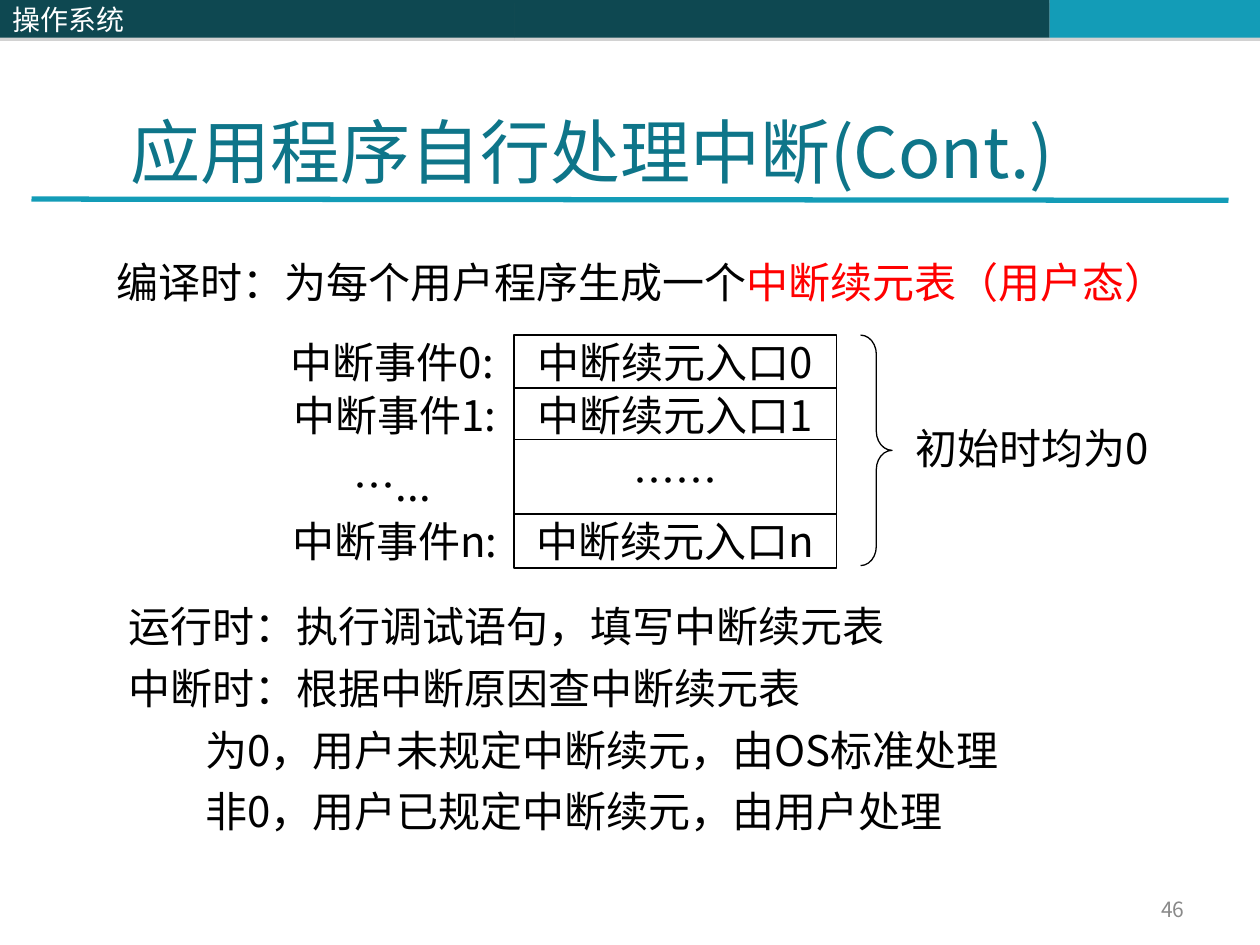
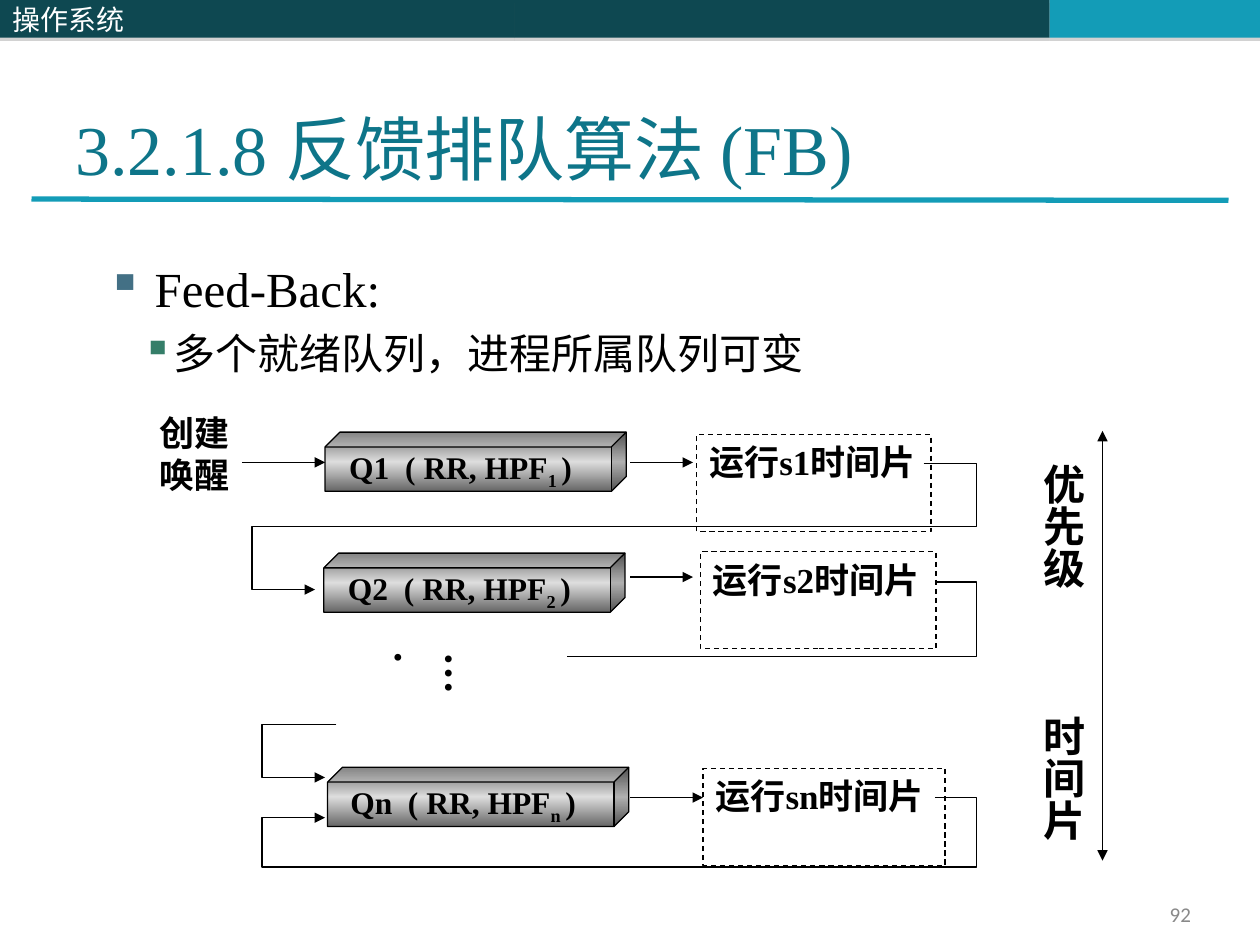
from dataclasses import dataclass
from typing import NamedTuple

import lxml.etree
import pptx
import pptx.dml.color
import pptx.enum.dml
import pptx.enum.shapes
import pptx.enum.text
import pptx.oxml.ns
import pptx.util

Inches = pptx.util.Inches
Pt = pptx.util.Pt
SHAPES = pptx.enum.shapes.MSO_SHAPE
ANCHOR = pptx.enum.text.MSO_ANCHOR
ALIGN = pptx.enum.text.PP_ALIGN
qn = pptx.oxml.ns.qn


@dataclass(frozen=True)
class Theme:
    """Colours, fonts and type sizes of the deck."""
    dark: str = "0E4851"
    accent: str = "139CB7"
    title: str = "0E7589"
    ink: str = "000000"
    paper: str = "FFFFFF"
    muted: str = "898989"
    alert: str = "FF0000"
    shade: str = "808080"
    metal_edge: str = "666666"
    metal_shine: str = "DDDDDD"
    bullets: tuple = ("437085", "357E69")
    sans: str = "Noto Sans CJK SC"
    serif: str = "Times New Roman"
    number_font: str = "Calibri"
    title_size: int = 40
    lead_size: int = 28
    body_size: int = 24
    label_size: int = 20
    queue_size: int = 18
    band_size: int = 16
    number_size: int = 12
    rule: float = 3
    hairline: float = 0.75


THEME = Theme()


class Box(NamedTuple):
    """A rectangle in inches."""
    left: float
    top: float
    width: float
    height: float

    def inner(self, left, top, width, height):
        """Return a box placed relative to this one."""
        return Box(self.left + left, self.top + top, width, height)

    def point(self, x, y):
        """Return a point relative to this box as lengths."""
        return Inches(self.left + x), Inches(self.top + y)

    def lengths(self):
        """Return the four sides as lengths."""
        return [Inches(value) for value in self]


def rgb(colour):
    """Turn a hex string into a colour."""
    return pptx.dml.color.RGBColor.from_string(colour)


def child(parent, tag, **attributes):
    """Append a DrawingML element."""
    return lxml.etree.SubElement(parent, qn("a:" + tag), attributes)


def set_font(para, size, colour, face, bold=False):
    """Set the font of a whole paragraph, East Asian face included."""
    font = para.font
    font.size, font.bold, font.name = Pt(size), bold, face
    font.color.rgb = rgb(colour)
    properties = para._p.get_or_add_pPr().find(qn("a:defRPr"))
    east_asian = lxml.etree.Element(qn("a:ea"), typeface=THEME.sans)
    properties.find(qn("a:latin")).addnext(east_asian)


def write(shape, text, size, colour=THEME.ink, face=THEME.sans, bold=False,
          align=ALIGN.LEFT, anchor=ANCHOR.TOP, wrap=True):
    """Fill a shape with one paragraph and return it."""
    frame = shape.text_frame
    frame.word_wrap, frame.vertical_anchor = wrap, anchor
    para = frame.paragraphs[0]
    para.add_run().text = text
    para.alignment = align
    set_font(para, size, colour, face, bold)
    return para


def add_text(page, box, text, size, **style):
    """Add a text box with one paragraph."""
    shape = page.shapes.add_textbox(*box.lengths())
    write(shape, text, size, **style)
    return shape


def add_shape(page, box, kind=SHAPES.RECTANGLE, fill=None, outline=None):
    """Add a flat preset shape."""
    shape = page.shapes.add_shape(kind, *box.lengths())
    shape.shadow.inherit = False
    if fill:
        shape.fill.solid()
        shape.fill.fore_color.rgb = rgb(fill)
    else:
        shape.fill.background()
    if outline:
        set_line(shape.line, outline)
    else:
        shape.line.fill.background()
    return shape


def set_line(line, colour=THEME.ink, width=THEME.hairline, ends=()):
    """Colour a line and put triangles on the named ends."""
    line.color.rgb, line.width = rgb(colour), Pt(width)
    for end in ends:
        child(line._get_or_add_ln(), end, type="triangle")


def add_line(page, start, end, **style):
    """Add a straight connector."""
    line = page.shapes.add_connector(
        pptx.enum.shapes.MSO_CONNECTOR.STRAIGHT, *start, *end)
    child(line._element.spPr, "effectLst")
    set_line(line.line, **style)


def add_path(page, points, ends=("tailEnd",)):
    """Add an open line through the points."""
    builder = page.shapes.build_freeform(*points[0], scale=1.0)
    builder.add_line_segments(points[1:], close=False)
    outline = builder.convert_to_shape()
    outline.shadow.inherit = False
    outline.fill.background()
    set_line(outline.line, ends=ends)


def add_band(page, box, fill):
    """Add one piece of the top band with its soft shadow."""
    band = add_shape(page, box, fill=fill)
    effects = band._element.spPr.find(qn("a:effectLst"))
    shadow = child(effects, "outerShdw", blurRad="0", dist=str(Pt(1.8)),
                   dir="5400000", rotWithShape="0")
    child(child(shadow, "srgbClr", val=THEME.shade), "alpha", val="35000")
    return band


def draw_frame(page, box):
    """Draw the band and the title rule that every slide shares."""
    add_band(page, box.inner(4.08, 0, 4.25, 0.3), THEME.dark)
    add_band(page, box.inner(8.33, 0, 1.67, 0.3), THEME.accent)
    add_line(page, box.point(0.25, 1.58), box.point(9.75, 1.59),
             colour=THEME.accent, width=THEME.rule)
    course = add_band(page, box.inner(0, 0, 4.08, 0.3), THEME.dark)
    write(course, "操作系统", THEME.band_size, THEME.paper, anchor=ANCHOR.MIDDLE)


def draw_title(page, box, text, face):
    """Write the slide title on the rule."""
    add_text(page, box, text, THEME.title_size, colour=THEME.title,
             face=face, anchor=ANCHOR.BOTTOM)


def draw_number(page, box, number, face):
    """Write the slide number at the right of its box."""
    add_text(page, box, number, THEME.number_size, colour=THEME.muted,
             face=face, align=ALIGN.RIGHT, anchor=ANCHOR.MIDDLE)


def draw_entry_table(page, box):
    """Draw the interrupt table with row labels and the brace."""
    centred = dict(align=ALIGN.CENTER, anchor=ANCHOR.MIDDLE, wrap=False)
    rows = [("中断事件0:", 0, 0, "中断续元入口0", 0, 0.43),
            ("中断事件1:", 0.02, 0.42, "中断续元入口1", 0.42, 0.43),
            ("…...", 0, 0.95, "……", 0.83, 0.63),
            ("中断事件n:", 0.02, 1.42, "中断续元入口n", 1.42, 0.43)]
    for event, event_left, event_top, entry, top, height in rows:
        cell = add_shape(page, box.inner(1.85, top, 2.56, height),
                         fill=THEME.paper, outline=THEME.ink)
        write(cell, entry, THEME.body_size, **centred)
        label = add_shape(page, box.inner(event_left, event_top, 1.77, min(height, 0.47)))
        write(label, event, THEME.body_size, **centred)
    brace = add_shape(page, box.inner(4.6, 0, 0.25, 1.83), SHAPES.RIGHT_BRACE,
                      outline=THEME.ink)
    brace.adjustments[0] = 0.61
    note = add_shape(page, box.inner(5.02, 0.5, 1.89, 0.79))
    write(note, "初始时均为0", THEME.body_size, **centred)


def draw_steps(page, box):
    """Write the run-time steps, the two cases indented."""
    steps = [("运行时：执行调试语句，填写中断续元表", 0),
             ("中断时：根据中断原因查中断续元表", 0),
             ("为0，用户未规定中断续元，由OS标准处理", 0.61),
             ("非0，用户已规定中断续元，由用户处理", 0.61)]
    frame = page.shapes.add_textbox(*box.lengths()).text_frame
    frame.word_wrap = True
    for index, (text, indent) in enumerate(steps):
        para = frame.add_paragraph() if index else frame.paragraphs[0]
        para.add_run().text = text
        para.line_spacing = 0.7
        if index:
            para.space_before = Pt(15)
        para._p.get_or_add_pPr().set("marL", str(Inches(indent)))
        set_font(para, THEME.body_size, THEME.ink, THEME.sans)


def draw_bullets(page, box):
    """Write the two-level bullet list."""
    items = [("Feed-Back:", 0.38, -0.38, THEME.lead_size, THEME.serif),
             ("多个就绪队列，进程所属队列可变", 0.5, -0.22, THEME.body_size, THEME.sans)]
    frame = page.shapes.add_textbox(*box.lengths()).text_frame
    frame.word_wrap = True
    for level, (text, margin, indent, size, face) in enumerate(items):
        para = frame.add_paragraph() if level else frame.paragraphs[0]
        para.add_run().text = text
        para.level = level
        if level:
            para.space_before = Pt(6)
        properties = para._p.get_or_add_pPr()
        properties.set("marL", str(Inches(margin)))
        properties.set("indent", str(Inches(indent)))
        child(child(properties, "buClr"), "srgbClr", val=THEME.bullets[level])
        child(properties, "buChar", char="▪")
        set_font(para, size, THEME.ink, face)


def draw_queue(page, box, name):
    """Draw one ready queue as a metal bar."""
    bar = add_shape(page, box, SHAPES.CUBE, outline=THEME.ink)
    bar.adjustments[0] = 0.25
    bar.fill.gradient()
    bar.fill.gradient_angle = 270
    stops = bar._element.spPr.find(qn("a:gradFill")).find(qn("a:gsLst"))
    stops.clear()
    for position, colour in ((0, THEME.metal_edge), (50, THEME.metal_shine),
                             (100, THEME.metal_edge)):
        child(child(stops, "gs", pos=str(position * 1000)), "srgbClr", val=colour)
    bar.text_frame.margin_right = Inches(0.22)
    para = write(bar, f"Q{name}  ( RR, HPF", THEME.queue_size, face=THEME.serif,
                 bold=True, align=ALIGN.CENTER, anchor=ANCHOR.MIDDLE, wrap=False)
    subscript = para.add_run()
    subscript.text = f"{name} "
    subscript.font._element.set("baseline", "-25000")
    para.add_run().text = ")"


def draw_vertical(page, box, text):
    """Write bold text that runs downwards."""
    shape = add_text(page, box, text, THEME.body_size, face=THEME.serif, bold=True)
    frame = shape.text_frame
    frame.margin_left = frame.margin_right = Inches(0.05)
    frame.margin_top = frame.margin_bottom = Inches(0.1)
    frame._txBody.bodyPr.set("vert", "eaVert")


def draw_feedback(page, box):
    """Draw the queues, their time slices and the paths between them."""
    label = dict(face=THEME.serif, bold=True)
    queues = [("1", 0.58, 0.01, 3.53, 0.03, 1.86, 0.25, 3.5),
              ("2", 0.57, 0.97, 3.56, 0.96, 1.87, 1.16, 3.5),
              ("n", 0.6, 2.67, 3.58, 2.68, 1.92, 2.91, 3.58)]
    for name, left, top, run_left, run_top, run_width, arrow_y, arrow_end in queues:
        add_line(page, box.point(3, arrow_y), box.point(arrow_end, arrow_y),
                 ends=("tailEnd",))
        run = add_shape(page, box.inner(run_left, run_top, run_width, 0.77),
                        outline=THEME.ink)
        run.line.dash_style = pptx.enum.dml.MSO_LINE.DASH
        write(run, f"运行s{name}时间片", THEME.label_size, **label)
        draw_queue(page, box.inner(left, top, 2.39, 0.47), name)
    add_text(page, box.inner(-0.83, -0.2, 0.83, 0.77), "创建唤醒",
             THEME.label_size, **label)
    add_line(page, box.point(-0.08, 0.25), box.point(0.58, 0.25), ends=("tailEnd",))
    arrows = [[(5.33, 0.26), (5.75, 0.26), (5.75, 0.76), (0, 0.76), (0, 1.26), (0.5, 1.26)],
              [(0.67, 2.33), (0.08, 2.33), (0.08, 2.75), (0.58, 2.75)],
              [(5.42, 2.91), (5.75, 2.91), (5.75, 3.46), (0.08, 3.46), (0.08, 3.07),
               (0.58, 3.07)]]
    for corners in arrows:
        add_path(page, [box.point(*corner) for corner in corners])
    second_exit = [(5.42, 1.2), (5.75, 1.2), (5.75, 1.79), (2.5, 1.79)]
    add_path(page, [box.point(*corner) for corner in second_exit], ends=())
    draw_vertical(page, box.inner(1.32, 1.66, 0.6, 0.58), "….")
    draw_vertical(page, box.inner(5.69, 0.16, 1, 1.35), "优先级")
    draw_vertical(page, box.inner(5.69, 2.16, 1, 1.35), "时间片")
    add_line(page, box.point(6.75, 0), box.point(6.75, 3.41),
             ends=("headEnd", "tailEnd"))


def build_interrupt_slide(page, box):
    """Build the slide on interrupts handled by applications."""
    draw_frame(page, box)
    draw_number(page, box.inner(7.17, 7.08, 2.33, 0.27), "46", THEME.sans)
    draw_title(page, box.inner(0.94, 0.33, 8.52, 1.25),
               "应用程序自行处理中断(Cont.)", THEME.sans)
    compile_time = add_text(page, box.inner(0.83, 1.99, 9.02, 0.5),
                            "编译时：为每个用户程序生成一个", THEME.body_size)
    span = compile_time.text_frame.paragraphs[0].add_run()
    span.text = "中断续元表（用户态）"
    span.font.color.rgb = rgb(THEME.alert)
    draw_entry_table(page, box.inner(2.23, 2.66, 6.91, 1.85))
    draw_steps(page, box.inner(0.92, 4.83, 8.41, 1.85))


def build_feedback_slide(page, box):
    """Build the slide on feedback queues."""
    draw_frame(page, box)
    draw_bullets(page, box.inner(0.75, 2, 8.5, 1.2))
    draw_feedback(page, box.inner(2, 3.42, 6.75, 3.46))
    draw_title(page, box.inner(0.5, 0.3, 9, 1.25),
               "3.2.1.8 反馈排队算法 (FB)", THEME.serif)
    draw_number(page, box.inner(7.5, 7.12, 2.05, 0.27), "92", THEME.number_font)


def main():
    """Build and save the deck."""
    deck = pptx.Presentation()
    deck.slide_width, deck.slide_height = Inches(10), Inches(7.5)
    for build in (build_interrupt_slide, build_feedback_slide):
        build(deck.slides.add_slide(deck.slide_layouts[6]), Box(0, 0, 10, 7.5))
    deck.save("out.pptx")


if __name__ == "__main__":
    main()
